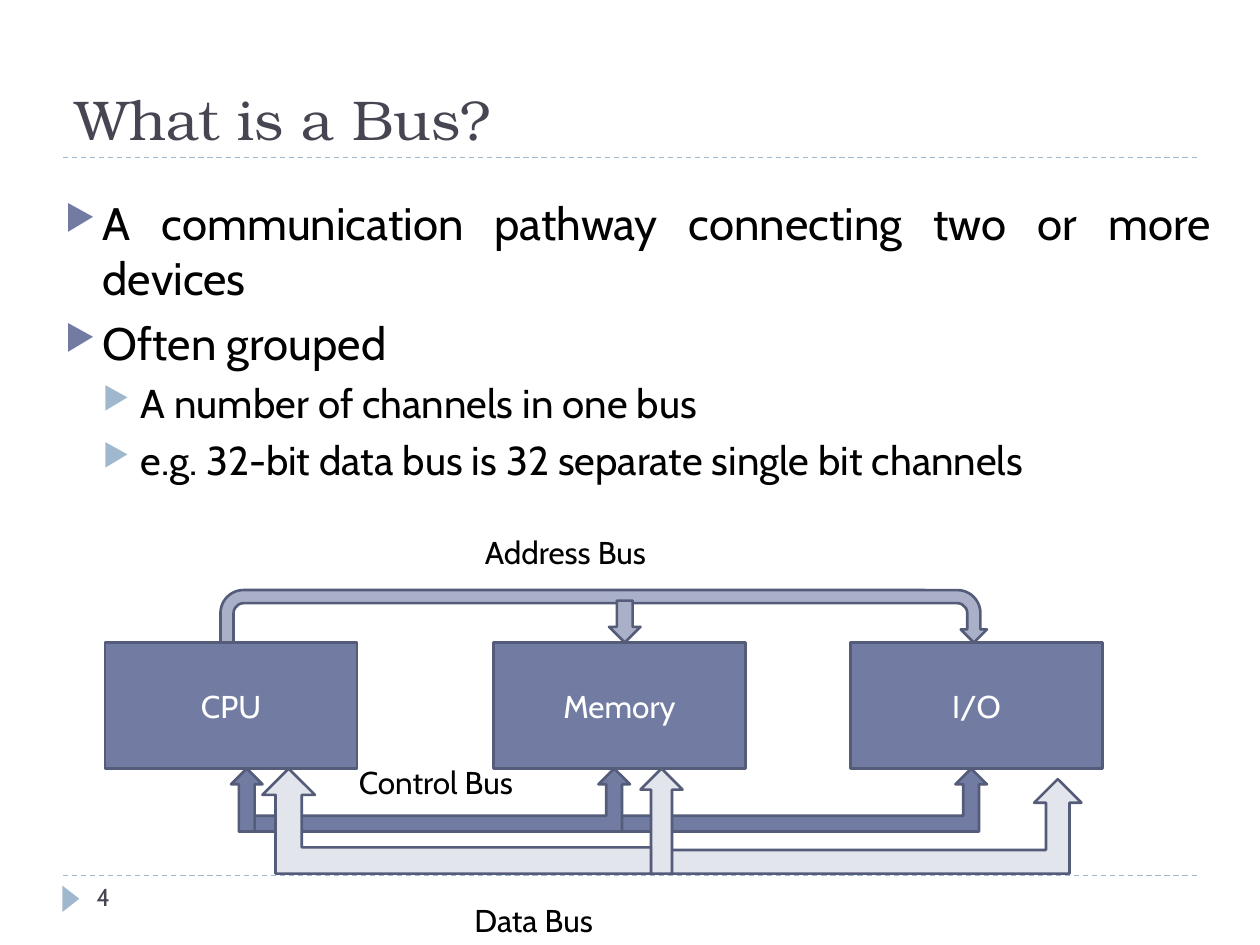
from collections import namedtuple
from lxml.etree import SubElement
from pptx import Presentation
from pptx.dml.color import RGBColor as RGB
from pptx.enum.dml import MSO_LINE
from pptx.enum.shapes import MSO_CONNECTOR, MSO_SHAPE as Shape
from pptx.enum.text import MSO_ANCHOR as Anchor, PP_ALIGN as Align
from pptx.oxml.ns import qn
from pptx.util import Inches, Pt

Theme = namedtuple("Theme", "heading body ink title white block edge accent address data "
                   "title_size point_size detail_size label_size number_size")
theme = Theme("TeX Gyre Bonum", "Cabin", "000000", "464653", "FFFFFF", "727CA3",
              "545C79", "9FB8CD", "AAB0C8", "E3E5ED", 32, 26, 23, 18, 14)

prs = Presentation()
prs.slide_width, prs.slide_height = Inches(10), Inches(7.5)
slide = prs.slides.add_slide(prs.slide_layouts[6])
cell = prs.slide_width / 120


def write(frame, text, size, color, font=theme.body, anchor=Anchor.TOP, align=Align.LEFT):
    frame.word_wrap = True
    frame.vertical_anchor = anchor
    paragraph = frame.paragraphs[0]
    paragraph.text = text
    paragraph.alignment = align
    paragraph.font.name, paragraph.font.size = font, Pt(size)
    paragraph.font.color.rgb = RGB.from_string(color)


def draw(kind, grid_box, fill, edge=theme.edge):
    part = slide.shapes.add_shape(kind, *(round(cell * n) for n in grid_box))
    part.shadow.inherit = False
    part.fill.solid()
    part.fill.fore_color.rgb = RGB.from_string(fill)
    if edge:
        part.line.color.rgb = RGB.from_string(edge)
        part.line.width = Pt(1.5)
    else:
        part.line.fill.background()
    return part


for row in (83.4, 15):
    x1, x2, y = (round(cell * n) for n in (6, 114, row))
    rule = slide.shapes.add_connector(MSO_CONNECTOR.STRAIGHT, x1, y, x2, y)
    rule.line.color.rgb = RGB.from_string(theme.accent)
    rule.line.width = Pt(0.75)
    rule.line.dash_style = MSO_LINE.DASH
    SubElement(rule._element.spPr, qn("a:effectLst"))

draw(Shape.ISOSCELES_TRIANGLE, (5.5, 84.8, 2.5, 1.6), theme.accent, None).rotation = 90

captions = [
    ("What is a Bus?", (6, 2, 108, 13), theme.title_size, theme.title, theme.heading, Anchor.BOTTOM),
    ("4", (8, 83.4, 26, 4.8), theme.number_size, theme.title, theme.body, Anchor.TOP),
]
for text, grid_box, size, color, font, anchor in captions:
    caption = slide.shapes.add_textbox(*(round(cell * n) for n in grid_box))
    write(caption.text_frame, text, size, color, font, anchor)

points = [
    (0, "A communication pathway connecting two or more devices"),
    (0, "Often grouped"),
    (1, "A number of channels in one bus"),
    (1, "e.g. 32-bit data bus is 32 separate single bit channels"),
]
levels = [(theme.point_size, theme.block, 6), (theme.detail_size, theme.accent, 5)]
summary = slide.shapes.add_textbox(*(round(cell * n) for n in (5, 18, 111.6, 30))).text_frame
summary.word_wrap = True
for index, (level, text) in enumerate(points):
    size, bullet_color, gap = levels[level]
    point = summary.add_paragraph() if index else summary.paragraphs[0]
    point.text = text
    point.level = level
    point.alignment = Align.JUSTIFY
    if index:
        point.space_before = Pt(gap)
    props = point._p.get_or_add_pPr()
    props.set("marL", str(Inches(0.3 * (level + 1))))
    props.set("indent", str(-Inches(0.3)))
    SubElement(SubElement(props, qn("a:buClr")), qn("a:srgbClr"), val=bullet_color)
    SubElement(props, qn("a:buSzPct"), val="76000")
    SubElement(props, qn("a:buChar"), char="▶")
    point.font.name, point.font.size = theme.body, Pt(size)
    point.font.color.rgb = RGB.from_string(theme.ink)

block_top, block_height = 61.2, 12
block_bottom = block_top + block_height
for column, device in ((10, "CPU"), (47, "Memory"), (81, "I/O")):
    block = draw(Shape.RECTANGLE, (column, block_top, 24, block_height), theme.block)
    write(block.text_frame, device, theme.label_size, theme.white,
          anchor=Anchor.MIDDLE, align=Align.CENTER)

address_bus = draw(Shape.U_TURN_ARROW, (21, block_top - 5, 73, 5), theme.address)
for index, share in enumerate((0.25, 0.25, 0.25, 0.44, 1)):
    address_bus.adjustments[index] = share
draw(Shape.DOWN_ARROW, (58, block_top - 4, 3, 4), theme.address)

for kind, column, width in ((Shape.BENT_UP_ARROW, 59, 35),
                            (Shape.BENT_UP_ARROW, 23, 37),
                            (Shape.UP_ARROW, 22, 3)):
    draw(kind, (column, block_bottom, width, 6), theme.block)

for text, column, row, width in (("Address Bus", 45, 50.2, 31),
                                 ("Control Bus", 33, 72.1, 34),
                                 ("Data Bus", 44, 85.2, 34)):
    label = slide.shapes.add_textbox(*(round(cell * n) for n in (column, row, width, 4.8)))
    write(label.text_frame, text, theme.label_size, theme.ink)

draw(Shape.BENT_UP_ARROW, (62, block_bottom + 1, 41, 9), theme.data)
draw(Shape.UP_ARROW, (61, block_bottom, 4, 10), theme.data)
cpu_data_bus = draw(Shape.BENT_UP_ARROW, (25, block_bottom, 37, 10), theme.data)
cpu_data_bus._element.spPr.find(qn("a:xfrm")).set("flipH", "1")

prs.save("out.pptx")
